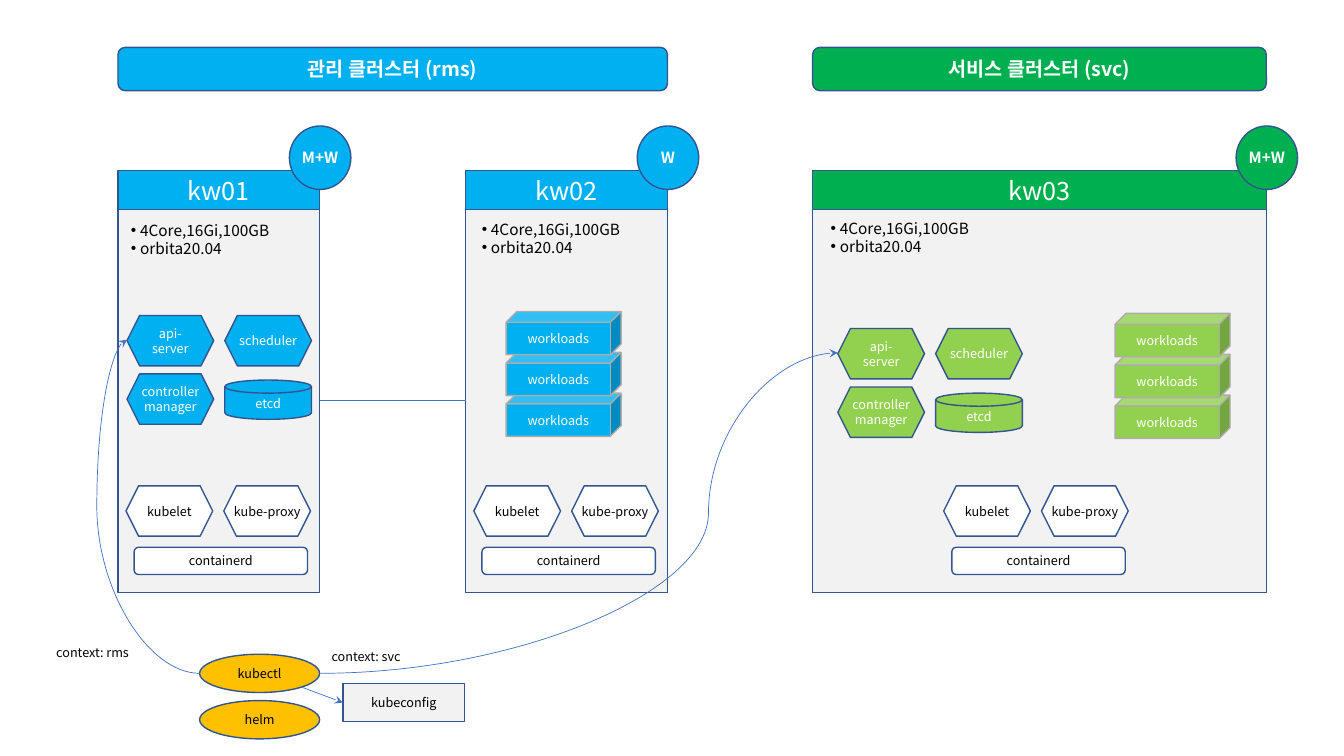
from dataclasses import dataclass

from lxml import etree
from pptx import Presentation
from pptx.dml.color import RGBColor
from pptx.enum.shapes import MSO_CONNECTOR, MSO_SHAPE
from pptx.enum.text import MSO_ANCHOR, MSO_AUTO_SIZE, PP_ALIGN
from pptx.oxml.ns import qn
from pptx.util import Inches, Pt

RECT = MSO_SHAPE.RECTANGLE
ROUND = MSO_SHAPE.ROUNDED_RECTANGLE
HEX = MSO_SHAPE.HEXAGON
OVAL = MSO_SHAPE.OVAL
DISK = MSO_SHAPE.FLOWCHART_MAGNETIC_DISK
CUBE = MSO_SHAPE.CUBE
LINE = MSO_CONNECTOR.STRAIGHT
CURVE = MSO_CONNECTOR.CURVE
MIDDLE = MSO_ANCHOR.MIDDLE
CENTER = PP_ALIGN.CENTER
LEFT = PP_ALIGN.LEFT
GROW = MSO_AUTO_SIZE.SHAPE_TO_FIT_TEXT

FONT = "Noto Sans CJK KR"
BLUE = RGBColor(0x00, 0xB0, 0xF0)
GREEN = RGBColor(0x00, 0xB0, 0x50)
LIME = RGBColor(0x92, 0xD0, 0x50)
AMBER = RGBColor(0xFF, 0xC0, 0x00)
PALE = RGBColor(0xF2, 0xF2, 0xF2)
WHITE = RGBColor(0xFF, 0xFF, 0xFF)
BLACK = RGBColor(0x00, 0x00, 0x00)
NAVY = RGBColor(0x32, 0x54, 0x91)
GRAY = RGBColor(0xAF, 0xAB, 0xAB)
LINK = RGBColor(0x44, 0x72, 0xC4)


@dataclass
class Node:
    name: str
    role: str
    left: float
    width: float
    fill: RGBColor
    specs: tuple[float, float]
    agent: float


@dataclass
class Part:
    text: str
    kind: int
    left: float
    top: float
    width: float = 0.86
    height: float = 0.5
    tight: bool = True


NODES = [
    Node("kw01", "M+W", 1.17, 2, BLUE, (1.2, 2.14), 1.25),
    Node("kw02", "W", 4.62, 2, BLUE, (4.68, 2.13), 4.7),
    Node("kw03", "M+W", 8.06, 4.5, GREEN, (8.14, 2.12), 9.36),
]
CONTROL = [
    Part("etcd", DISK, 0.97, 0.64, height=0.39, tight=False),
    Part("api-\vserver", HEX, 0, 0),
    Part("scheduler", HEX, 0.97, 0),
    Part("controller\vmanager", HEX, 0, 0.58),
]
AGENT = [
    Part("containerd", ROUND, 0.08, 0.61, 1.72, 0.27),
    Part("kubelet", HEX, 0, 0),
    Part("kube-proxy", HEX, 0.97, 0),
]
LOADS = [Part("workloads", CUBE, 0, 0.405 * row, 1.14, 0.43, False)
         for row in (2, 1, 0)]
TOOLS = [
    Part("kubectl", OVAL, 0, 0, 1.19, 0.38),
    Part("helm", OVAL, 0, 0.46, 1.19, 0.38),
]


def style(para, size: float, color: RGBColor, bold: bool = False,
          align=CENTER) -> None:
    para.alignment = align
    para.font.name = FONT
    para.font.size = Pt(size)
    para.font.bold = bold
    para.font.color.rgb = color
    base = para._p.pPr.find(qn("a:defRPr"))
    etree.SubElement(base, qn("a:ea"), typeface=FONT)


def block(slide, part: Part, fill: RGBColor, color: RGBColor = WHITE,
          size: float = 9, bold: bool = False, edge: RGBColor = NAVY,
          base: tuple[float, float] = (0, 0)):
    shape = slide.shapes.add_shape(
        part.kind, Inches(base[0] + part.left), Inches(base[1] + part.top),
        Inches(part.width), Inches(part.height))
    shape.shadow.inherit = False
    shape.fill.solid()
    shape.fill.fore_color.rgb = fill
    shape.line.color.rgb = edge
    shape.line.width = Pt(1)
    if part.text:
        frame = shape.text_frame
        frame.vertical_anchor = MIDDLE
        frame.word_wrap = not part.tight
        if part.tight:
            frame.margin_left = frame.margin_right = 0
            frame.margin_top = frame.margin_bottom = 0
        frame.text = part.text
        style(frame.paragraphs[0], size, color, bold)
    return shape


def group(slide, parts: list[Part], left: float, top: float, fill: RGBColor,
          color: RGBColor = WHITE, edge: RGBColor = NAVY) -> None:
    for part in parts:
        block(slide, part, fill, color, edge=edge, base=(left, top))


def label(slide, lines: list[str], left: float, top: float, width: float,
          height: float, size: float, list_: bool = False) -> None:
    box = slide.shapes.add_textbox(
        Inches(left), Inches(top), Inches(width), Inches(height))
    frame = box.text_frame
    frame.word_wrap = not list_
    frame.auto_size = GROW
    frame.text = "\n".join(lines)
    for para in frame.paragraphs:
        style(para, size, BLACK, align=LEFT)
        if list_:
            props = para._p.pPr
            props.set("marL", str(Inches(0.09)))
            props.set("indent", str(-Inches(0.09)))
            props.insert(0, etree.Element(qn("a:buFont"), typeface="Arial"))
            props.insert(1, etree.Element(qn("a:buChar"), char="•"))


def link(slide, kind: int, start: tuple[float, float],
         end: tuple[float, float], bend: float = 0, arrow: bool = True):
    wire = slide.shapes.add_connector(
        kind, *(Inches(value) for value in (*start, *end)))
    wire.line.color.rgb = LINK
    wire.line.width = Pt(0.5)
    props = wire._element.spPr
    if arrow:
        etree.SubElement(props.find(qn("a:ln")), qn("a:tailEnd"),
                         type="stealth")
    etree.SubElement(props, qn("a:effectLst"))
    if bend:
        guides = props.find(qn("a:prstGeom")).find(qn("a:avLst"))
        etree.SubElement(guides, qn("a:gd"), name="adj1",
                         fmla=f"val {round(bend * 100000)}")
    return wire


def main() -> None:
    deck = Presentation()
    deck.slide_width = Inches(13.33)
    deck.slide_height = Inches(7.5)
    slide = deck.slides.add_slide(deck.slide_layouts[6])

    bodies = [block(slide, Part("", RECT, node.left, 2.07, node.width, 3.81),
                    PALE) for node in NODES]
    for node in NODES:
        head = Part(node.name, RECT, node.left, 1.69, node.width, 0.39, False)
        block(slide, head, node.fill, size=18)
        label(slide, ["4Core,16Gi,100GB", "orbita20.04"], *node.specs,
              1.85, 0.58, 11, True)
        badge = Part(node.role, OVAL, node.left + node.width - 0.3, 1.25,
                     0.61, 0.63)
        block(slide, badge, node.fill, size=11, bold=True)
        group(slide, AGENT, node.agent, 4.82, WHITE, BLACK)

    wire = link(slide, LINE, (3.17, 3.98), (4.62, 3.98), arrow=False)
    wire.begin_connect(bodies[0], 3)
    wire.end_connect(bodies[1], 1)

    block(slide, Part("관리 클러스터 (rms)", ROUND, 1.17, 0.47, 5.45, 0.43, False),
          BLUE, size=14, bold=True)
    block(slide, Part("서비스 클러스터 (svc)", ROUND, 8.06, 0.47, 4.5, 0.43, False),
          GREEN, size=14, bold=True)

    group(slide, CONTROL, 1.26, 3.13, BLUE)
    group(slide, CONTROL, 8.31, 3.26, LIME)
    group(slide, LOADS, 5.02, 3.09, BLUE, edge=GRAY)
    group(slide, LOADS, 11.06, 3.11, LIME, edge=GRAY)
    group(slide, TOOLS, 1.98, 6.49, AMBER, BLACK)

    link(slide, CURVE, (1.98, 6.68), (1.26, 3.37), 1.416)
    link(slide, CURVE, (3.18, 6.68), (8.31, 3.5), 0.75)
    label(slide, ["context: rms"], 0.46, 6.35, 1.16, 0.31, 9)
    label(slide, ["context: svc"], 3.19, 6.39, 1.19, 0.31, 9)
    config = block(slide, Part("kubeconfig", RECT, 3.4, 6.78, 1.21, 0.38, False),
                   PALE, BLACK)
    wire = link(slide, LINE, (3, 6.82), (3.4, 6.97))
    wire.end_connect(config, 1)

    deck.save("out.pptx")


if __name__ == "__main__":
    main()
